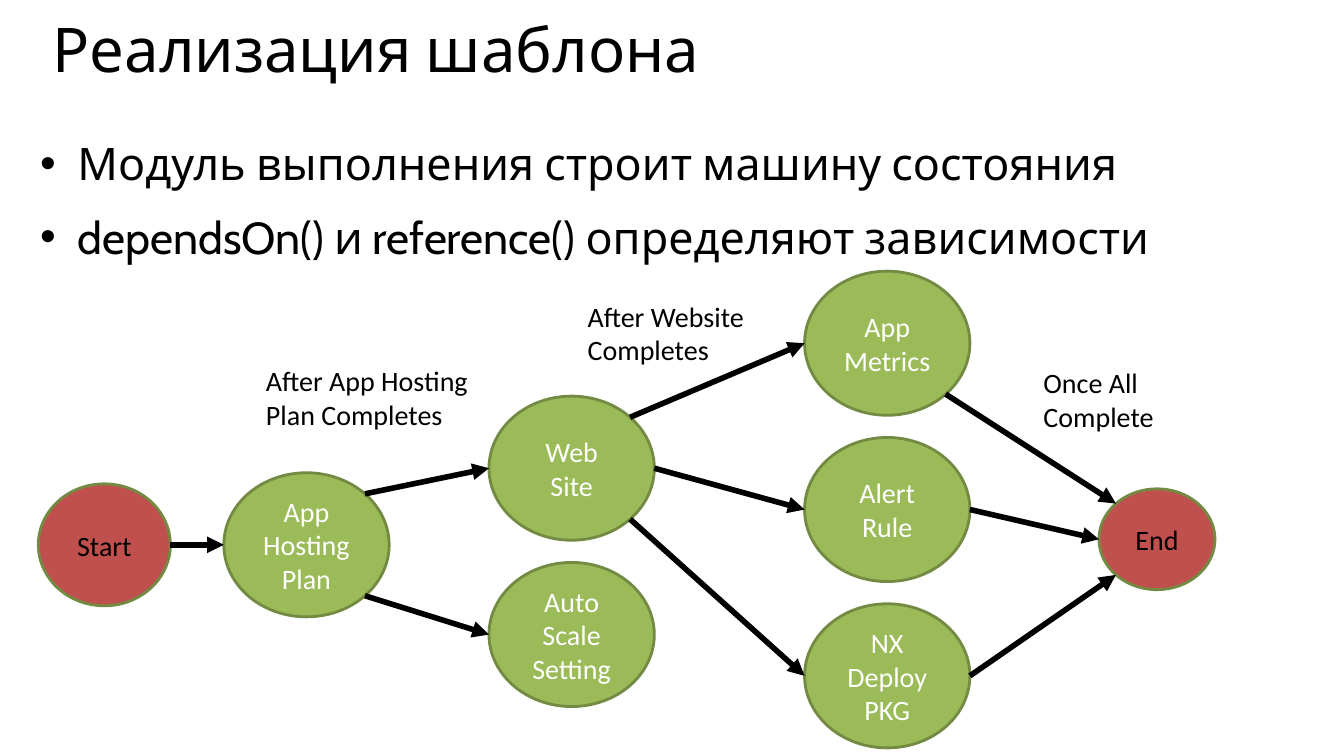
from math import cos, pi, sin

from lxml.etree import SubElement
from pptx import Presentation
from pptx.dml.color import RGBColor
from pptx.enum.shapes import MSO_CONNECTOR, MSO_SHAPE
from pptx.enum.text import MSO_ANCHOR, PP_ALIGN
from pptx.oxml.ns import qn
from pptx.util import Pt

PX = 9144  # 100 px to the inch
COLORS = {
    "ink": "000000",
    "paper": "FFFFFF",
    "terminal": "C0504D",
    "resource": "9BBB59",
    "outline": "738A42",
}
# Connection sites of an ellipse, counter-clockwise from the top
LEFT_TOP, LEFT, LEFT_BOTTOM, RIGHT_BOTTOM, RIGHT, RIGHT_TOP = 1, 2, 3, 5, 6, 7


def px(*lengths):
    return [round(length * PX) for length in lengths]


def color(name):
    return RGBColor.from_string(COLORS[name])


def write(frame, lines, size=20, font="Calibri", ink="ink", align=PP_ALIGN.LEFT,
          anchor=MSO_ANCHOR.TOP, spacing=None, before=None, bullet_indent=0):
    frame.word_wrap = True
    frame.vertical_anchor = anchor
    frame.margin_left = frame.margin_right = 10 * PX
    frame.margin_top = frame.margin_bottom = 5 * PX
    for index, line in enumerate(lines):
        paragraph = frame.paragraphs[0] if index == 0 else frame.add_paragraph()
        paragraph.alignment = align
        if spacing:
            paragraph.line_spacing = spacing
        if before:
            paragraph.space_before = Pt(before)
        if bullet_indent:
            properties = paragraph._p.get_or_add_pPr()
            properties.set("marL", str(bullet_indent * PX))
            properties.set("indent", str(-bullet_indent * PX))
            SubElement(properties, qn("a:buFont"), typeface="Arial")
            SubElement(properties, qn("a:buChar"), char="•")
        run = paragraph.add_run()
        run.text = line
        run.font.size = Pt(size)
        run.font.name = font
        run.font.color.rgb = color(ink)


def add_text(slide, box, lines, **text_format):
    write(slide.shapes.add_textbox(*px(*box)).text_frame, lines, **text_format)


def add_state(slide, box, lines, fill="resource", ink="paper"):
    state = slide.shapes.add_shape(MSO_SHAPE.OVAL, *px(*box))
    state.shadow.inherit = False
    state.fill.solid()
    state.fill.fore_color.rgb = color(fill)
    state.line.color.rgb = color("outline")
    state.line.width = Pt(2)
    write(state.text_frame, lines, ink=ink, align=PP_ALIGN.CENTER,
          anchor=MSO_ANCHOR.MIDDLE)
    return state


def site_point(state, site):
    angle = site * pi / 4
    return (round(state.left + state.width / 2 * (1 - sin(angle))),
            round(state.top + state.height / 2 * (1 - cos(angle))))


def add_transition(slide, source, source_site, target, target_site):
    arrow = slide.shapes.add_connector(
        MSO_CONNECTOR.STRAIGHT,
        *site_point(source, source_site), *site_point(target, target_site))
    arrow.line.color.rgb = color("ink")
    arrow.line.width = Pt(4)
    SubElement(arrow.line._get_or_add_ln(), qn("a:tailEnd"), type="triangle")
    SubElement(arrow._element.spPr, qn("a:effectLst"))
    # Join both ends to the ellipses, which have eight sites
    joints = arrow._element.nvCxnSpPr.cNvCxnSpPr
    for tag, state, site in (("a:stCxn", source, source_site),
                             ("a:endCxn", target, target_site)):
        SubElement(joints, qn(tag), id=str(state.shape_id), idx=str(site))


def add_heading(slide, box):
    title = slide.shapes.title
    title.left, title.top, title.width, title.height = px(*box)
    write(title.text_frame, ["Реализация шаблона"], size=44, font="Cabin",
          spacing=0.8)


def add_points(slide, box):
    add_text(slide, box,
             ["Модуль выполнения строит машину состояния",
              "dependsOn() и reference() определяют зависимости"],
             size=32, font="Cabin", spacing=1.0, before=14, bullet_indent=37)


def add_state_machine(slide, box):
    left, top, _, _ = box
    width, height, row_step = 164, 143, 165
    site_column, alert_column = left + 447, left + 760

    # States
    start = add_state(slide, (left, top + 211, 131, 121), ["Start"],
                      fill="terminal", ink="ink")
    plan = add_state(slide, (left + 184, top + 200, width, height),
                     ["App Hosting Plan"])
    web_site, auto_scale = [
        add_state(slide, (site_column, top + 124 + row * row_step, width, height), lines)
        for row, lines in enumerate([["Web", "Site"], ["Auto Scale Setting"]])]
    metrics, alert, deploy = [
        add_state(slide, (alert_column, top + row * row_step, width, height), [name])
        for row, name in enumerate(["App Metrics", "Alert Rule", "NX Deploy PKG"])]
    end = add_state(slide, (left + 1052, top + 216, 115, 100), ["End"],
                    fill="terminal", ink="ink")

    # Transitions
    for transition in (
        (start, RIGHT, plan, LEFT),
        (plan, RIGHT_BOTTOM, auto_scale, LEFT),
        (plan, RIGHT_TOP, web_site, LEFT),
        (web_site, RIGHT_TOP, metrics, LEFT),
        (web_site, RIGHT, alert, LEFT),
        (web_site, RIGHT_BOTTOM, deploy, LEFT),
        (alert, RIGHT, end, LEFT),
        (metrics, RIGHT_BOTTOM, end, LEFT_TOP),
        (deploy, RIGHT, end, LEFT_BOTTOM),
    ):
        add_transition(slide, *transition)

    # Conditions
    for x, y, label_width, condition in (
        (216, 87, 237, "After App Hosting Plan Completes"),
        (535, 23, 204, "After Website Completes"),
        (987, 89, 181, "Once All Complete"),
    ):
        add_text(slide, (left + x, top + y, label_width, 78), [condition])


def main():
    presentation = Presentation()
    presentation.slide_width, presentation.slide_height = px(1333, 750)
    slide = presentation.slides.add_slide(presentation.slide_layouts[5])
    add_heading(slide, (42, 20, 1260, 116))
    add_points(slide, (30, 130, 1274, 152))
    add_state_machine(slide, (38, 269, 1167, 473))
    presentation.save("out.pptx")


if __name__ == "__main__":
    main()
